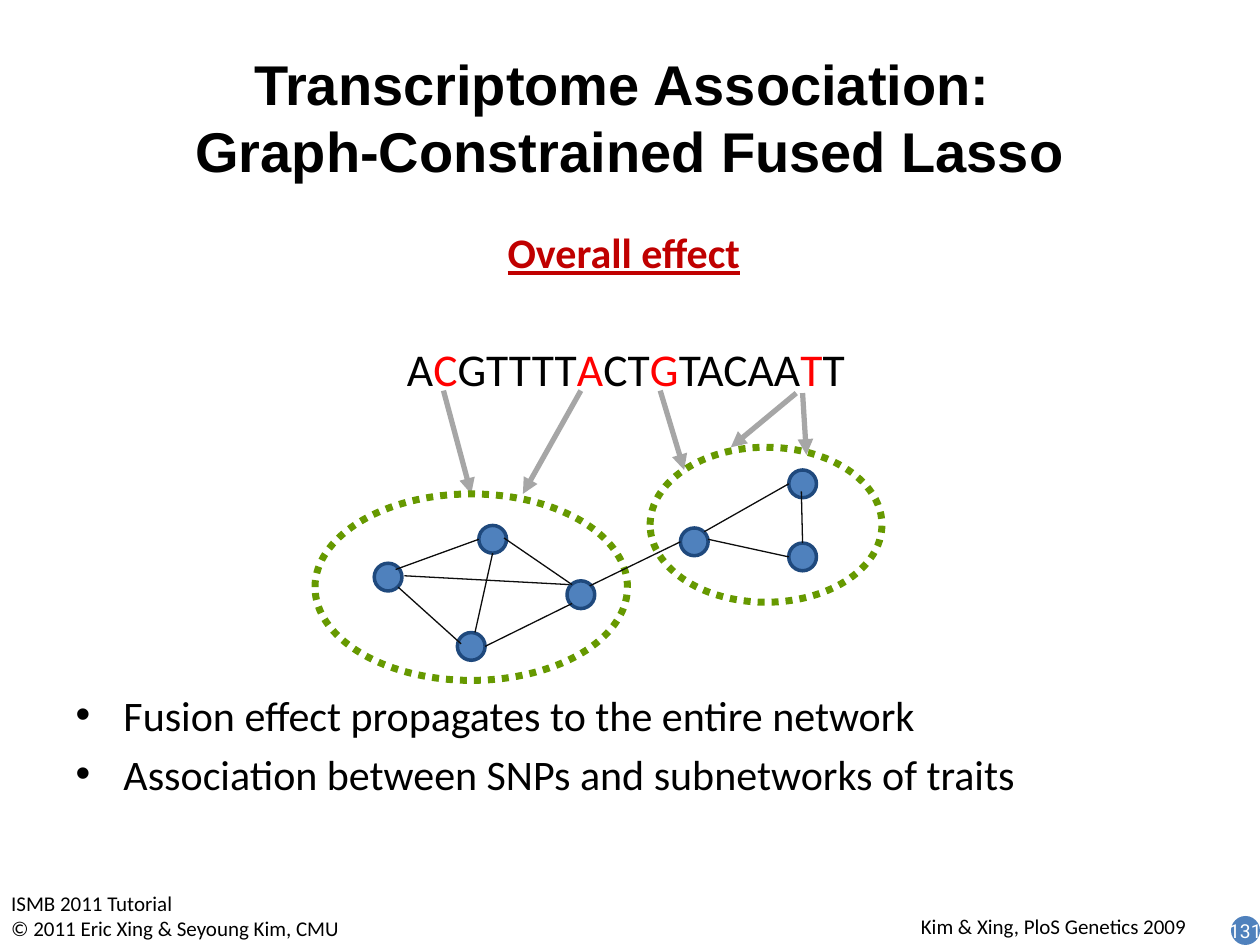
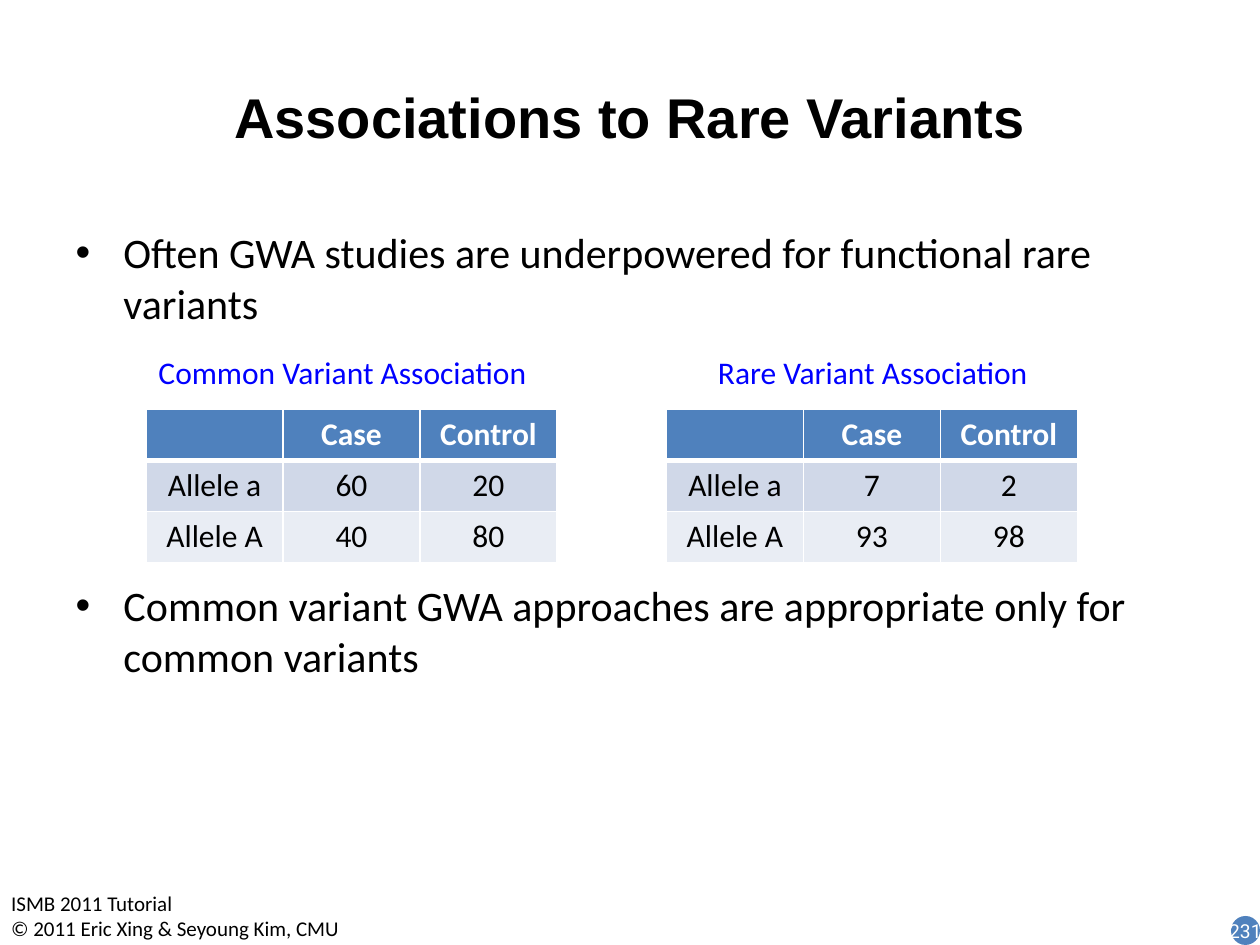
from dataclasses import dataclass
from typing import NamedTuple

from lxml.etree import SubElement
from pptx import Presentation
from pptx.dml.color import RGBColor
from pptx.enum.dml import MSO_LINE
from pptx.enum.shapes import MSO_CONNECTOR, MSO_SHAPE as Preset
from pptx.enum.text import MSO_ANCHOR as Anchor, MSO_AUTO_SIZE as AutoSize, PP_ALIGN as Align
from pptx.oxml.ns import qn
from pptx.util import Emu, Inches, Pt

COLORS = {
    "text": "000000", "white": "FFFFFF", "heading": "C00000", "snp": "FF0000",
    "caption": "0000FF", "blue": "4F81BD", "node_line": "1F497D", "arrow": "A6A6A6",
    "edge": "0D0D0D", "cluster": "669900", "band_dark": "D0D8E8", "band_light": "E9EDF4",
}
# The slide is a grid of 100 columns by 75 rows
SLIDE_W, SLIDE_H = Inches(10), Inches(7.5)
COLUMN, ROW = SLIDE_W / 100, SLIDE_H / 75
NODE_SIZE = 2.2
TABLE_COLUMN, TABLE_ROW = 10.87, 4.05


class Box(NamedTuple):
    column: float
    row: float
    columns: float
    rows: float

    def emu(self) -> tuple:
        return (Emu(round(self.column * COLUMN)), Emu(round(self.row * ROW)),
                Emu(round(self.columns * COLUMN)), Emu(round(self.rows * ROW)))


class Link(NamedTuple):
    """A straight line from one grid point to another."""
    column: float
    row: float
    to_column: float
    to_row: float


class Piece(NamedTuple):
    """A stretch of text in one colour."""
    text: str
    color: str = "text"


@dataclass
class AlleleTable:
    caption: str
    caption_column: float
    column: float
    counts: list


TITLE = Box(5, 3, 90, 12.5)
BODY = Box(5, 17.5, 90, 49.5)
LOW_BODY = Box(5, 54.2, 90, 12.8)
FOOTER = Box(-0.1, 70.2, 28.4, 5)
BADGE = Box(97.7, 72.7, 2.3, 2.3)

SEQUENCE = [Piece("A"), Piece("C", "snp"), Piece("GTTTT"), Piece("A", "snp"), Piece("CT"),
            Piece("G", "snp"), Piece("TACAA"), Piece("T", "snp"), Piece("T")]
CLUSTERS = [Box(25, 39.2, 24.8, 14.8), Box(51.6, 35.5, 18.4, 12.3)]
TRAITS = [(62.6, 37.3), (62.6, 43.1), (54, 41.9), (45, 46.1),
          (38, 41.7), (29.7, 44.7), (36.3, 50.2)]
SNP_ARROWS = [
    Link(35.2, 31, 37.4, 39.2), Link(46.1, 31, 41.5, 39.2), Link(52.4, 31, 54.3, 37.3),
    Link(63.2, 31.2, 58, 35.5), Link(63.7, 31.2, 64, 36.1),
]
TRAIT_EDGES = [
    Link(63.6, 39, 63.7, 43.1), Link(62.6, 38.4, 55.9, 42.2), Link(56.2, 42.8, 62.6, 44.2),
    Link(31.6, 46.6, 36.6, 51.1), Link(40, 42.7, 45.4, 46.4), Link(45.4, 47.9, 38.5, 51.3),
    Link(38, 42.8, 31.4, 45.2), Link(39.1, 43.9, 37.7, 50.2), Link(32.1, 45.7, 45.2, 46.4),
    Link(46.8, 46.5, 54, 43),
]
ALLELE_TABLES = [
    AlleleTable("Common Variant Association", 11.6, 11.6, [(60, 20), (40, 80)]),
    AlleleTable("Rare Variant Association", 56, 52.9, [(7, 2), (93, 98)]),
]


def rgb(name: str) -> RGBColor:
    return RGBColor.from_string(COLORS[name])


def write(frame, paragraphs: list, *, size: float, font: str = "Calibri", color: str = "text",
          bold: bool = False, underline: bool = False, align=Align.LEFT, gap: float = 0,
          bullet: bool = False) -> None:
    """Fill a text frame; each paragraph is a string or a list of pieces."""
    for index, content in enumerate(paragraphs):
        paragraph = frame.paragraphs[0] if index == 0 else frame.add_paragraph()
        paragraph.alignment = align
        paragraph.space_before = Pt(gap if index else 0)
        if bullet:
            props = paragraph._p.get_or_add_pPr()
            props.set("marL", str(Inches(0.38)))
            props.set("indent", str(-Inches(0.38)))
            SubElement(props, qn("a:buFont"), typeface="Arial")
            SubElement(props, qn("a:buChar"), char="•")
        pieces = [Piece(content, color)] if isinstance(content, str) else content
        for piece in pieces:
            for number, line in enumerate(piece.text.split("\v")):
                if number:
                    paragraph.add_line_break()
                    SubElement(paragraph._p[-1], qn("a:rPr"), sz=str(size * 100))
                run = paragraph.add_run()
                run.text = line
                run.font.name, run.font.size = font, Pt(size)
                run.font.bold, run.font.underline = bold, underline
                run.font.color.rgb = rgb(piece.color)


def add_label(slide, box: Box, paragraphs: list, *, wrap: bool = True,
              inset: tuple = (0.1, 0.05), **text_format) -> None:
    frame = slide.shapes.add_textbox(*box.emu()).text_frame
    frame.word_wrap = wrap
    frame.margin_left = frame.margin_right = Inches(inset[0])
    frame.margin_top = frame.margin_bottom = Inches(inset[1])
    write(frame, paragraphs, **text_format)


def add_round(slide, preset, box: Box, *, fill: str = "", line: str = "",
              width: float = 0, dash=None):
    shape = slide.shapes.add_shape(preset, *box.emu())
    shape.shadow.inherit = False
    if fill:
        shape.fill.solid()
        shape.fill.fore_color.rgb = rgb(fill)
    else:
        shape.fill.background()
    if line:
        shape.line.color.rgb = rgb(line)
        shape.line.width = Pt(width)
        shape.line.dash_style = dash
    else:
        shape.line.fill.background()
    return shape


def add_link(slide, link: Link, color: str, width: float, arrow: bool = False) -> None:
    connector = slide.shapes.add_connector(MSO_CONNECTOR.STRAIGHT, *Box(*link).emu())
    connector.line.color.rgb = rgb(color)
    connector.line.width = Pt(width)
    props = connector._element.spPr
    if arrow:
        SubElement(props.find(qn("a:ln")), qn("a:tailEnd"), type="triangle")
    SubElement(props, qn("a:effectLst"))


def fill_placeholder(holder, box: Box, paragraphs: list, anchor, **text_format) -> None:
    holder.left, holder.top, holder.width, holder.height = box.emu()
    frame = holder.text_frame
    frame.auto_size, frame.word_wrap = AutoSize.NONE, True
    frame.vertical_anchor = anchor
    write(frame, paragraphs, **text_format)


def add_slide(deck, title: str, number: int, bullets: list, body: Box, gap: float):
    """Add a slide with its title, list, footer and number badge."""
    slide = deck.slides.add_slide(deck.slide_layouts[1])
    fill_placeholder(slide.shapes.title, TITLE, [title], Anchor.MIDDLE,
                     size=32, font="Arial", bold=True, align=Align.CENTER)
    fill_placeholder(slide.placeholders[1], body, bullets, Anchor.TOP,
                     size=24, gap=gap, bullet=True)
    add_label(slide, FOOTER, ["ISMB 2011 Tutorial", "© 2011 Eric Xing & Seyoung Kim, CMU"],
              wrap=False, size=12)
    frame = add_round(slide, Preset.OVAL, BADGE, fill="blue").text_frame
    frame.margin_left = frame.margin_right = frame.margin_top = frame.margin_bottom = 0
    frame.word_wrap, frame.vertical_anchor = False, Anchor.MIDDLE
    write(frame, [str(number)], size=11, font="Roboto", color="white", align=Align.CENTER)
    return slide


def set_borders(cell, **widths: float) -> None:
    """Draw white borders; call before the cell is filled."""
    props = cell._tc.get_or_add_tcPr()
    for side, width in widths.items():
        border = SubElement(props, qn(f"a:ln{side}"), w=str(Pt(width)))
        paint = SubElement(border, qn("a:solidFill"))
        SubElement(paint, qn("a:srgbClr"), val=COLORS["white"])


def add_allele_table(slide, alleles: AlleleTable) -> None:
    add_label(slide, Box(alleles.caption_column, 27.5, 33.7, 4), [alleles.caption],
              size=18, color="caption")
    rows = [("", "Case", "Control"),
            *((name, *pair) for name, pair in zip(("Allele a", "Allele A"), alleles.counts))]
    box = Box(alleles.column, 32.5, 3 * TABLE_COLUMN, 3 * TABLE_ROW)
    table = slide.shapes.add_table(3, 3, *box.emu()).table
    for r, (values, fill) in enumerate(zip(rows, ("blue", "band_dark", "band_light"))):
        for c, value in enumerate(values):
            cell = table.cell(r, c)
            set_borders(cell, L=1, R=1, T=3 if r == 1 else 1, B=3 if r == 0 else 1)
            cell.fill.solid()
            cell.fill.fore_color.rgb = rgb(fill)
            write(cell.text_frame, [str(value)], size=18, bold=r == 0,
                  color="text" if r else "white", align=Align.CENTER)


def build_lasso_slide(deck) -> None:
    slide = add_slide(
        deck, "Transcriptome Association: \vGraph-Constrained Fused Lasso", 131,
        ["Fusion effect propagates to the entire network",
         "Association between SNPs and subnetworks of traits"], LOW_BODY, gap=4.8)
    add_label(slide, Box(39.3, 17.5, 45.8, 5.1), ["Overall effect"],
              size=24, color="heading", bold=True, underline=True)
    add_label(slide, Box(72.1, 72, 26.1, 3), ["Kim & Xing, PloS Genetics 2009"], size=12)
    # Sequence and trait network
    add_label(slide, Box(30.7, 26.3, 48.2, 6), [SEQUENCE], inset=(0.16, 0.08), size=26)
    for column, row in TRAITS:
        add_round(slide, Preset.FLOWCHART_CONNECTOR, Box(column, row, NODE_SIZE, NODE_SIZE),
                  fill="blue", line="node_line", width=2)
    for arrow in SNP_ARROWS:
        add_link(slide, arrow, "arrow", 3, arrow=True)
    for cluster in CLUSTERS:
        add_round(slide, Preset.OVAL, cluster, line="cluster", width=4, dash=MSO_LINE.ROUND_DOT)
    for edge in TRAIT_EDGES:
        add_link(slide, edge, "edge", 0.75)


def build_rare_variants_slide(deck) -> None:
    slide = add_slide(
        deck, "Associations to Rare Variants", 231,
        ["Often GWA studies are underpowered for functional rare variants",
         "Common variant GWA approaches are appropriate only for common variants"],
        BODY, gap=144)
    for alleles in ALLELE_TABLES:
        add_allele_table(slide, alleles)


def main() -> None:
    deck = Presentation()
    deck.slide_width, deck.slide_height = SLIDE_W, SLIDE_H
    build_lasso_slide(deck)
    build_rare_variants_slide(deck)
    deck.save("out.pptx")


# Connectors take end points, so a Link travels through Box unchanged
if __name__ == "__main__":
    main()
